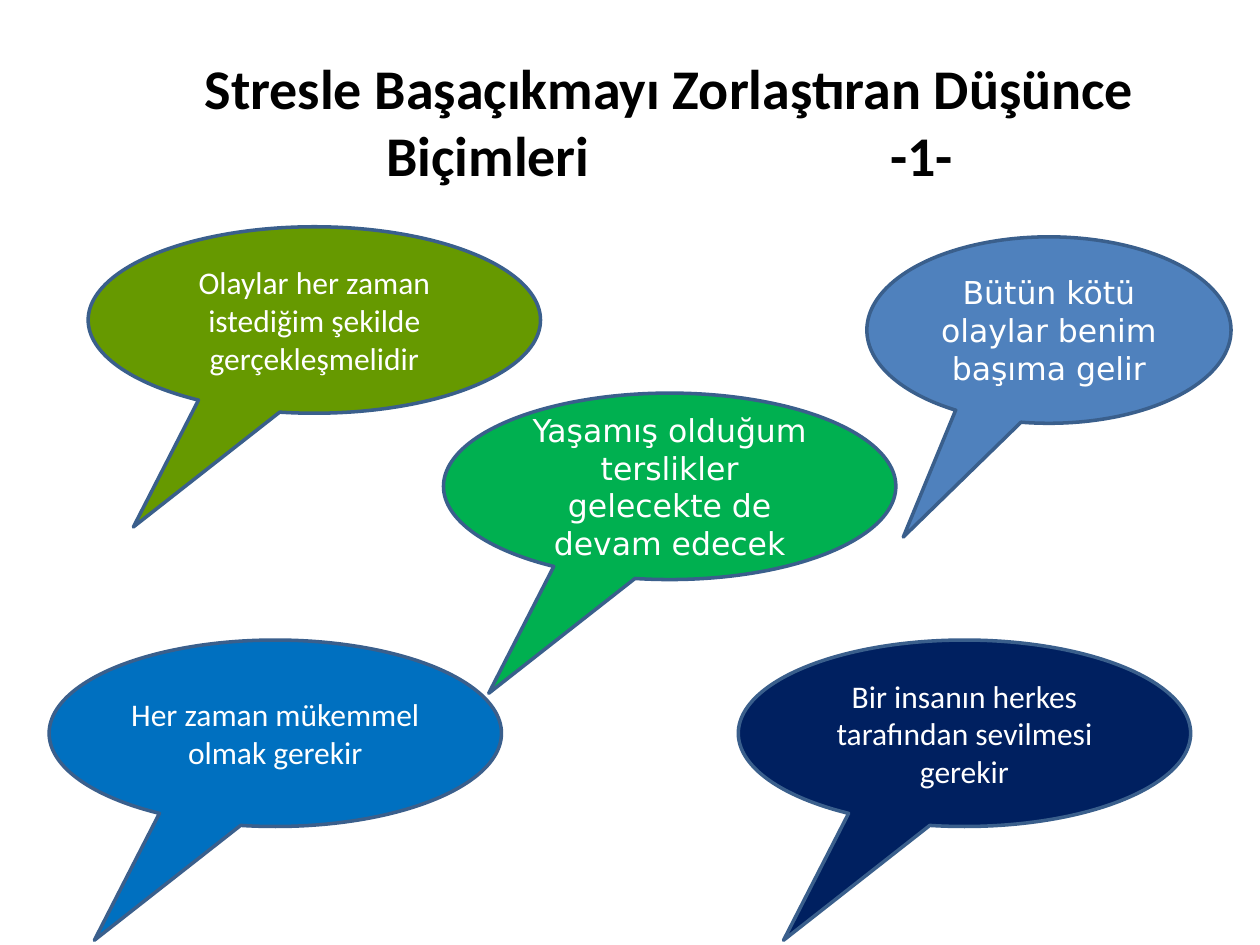
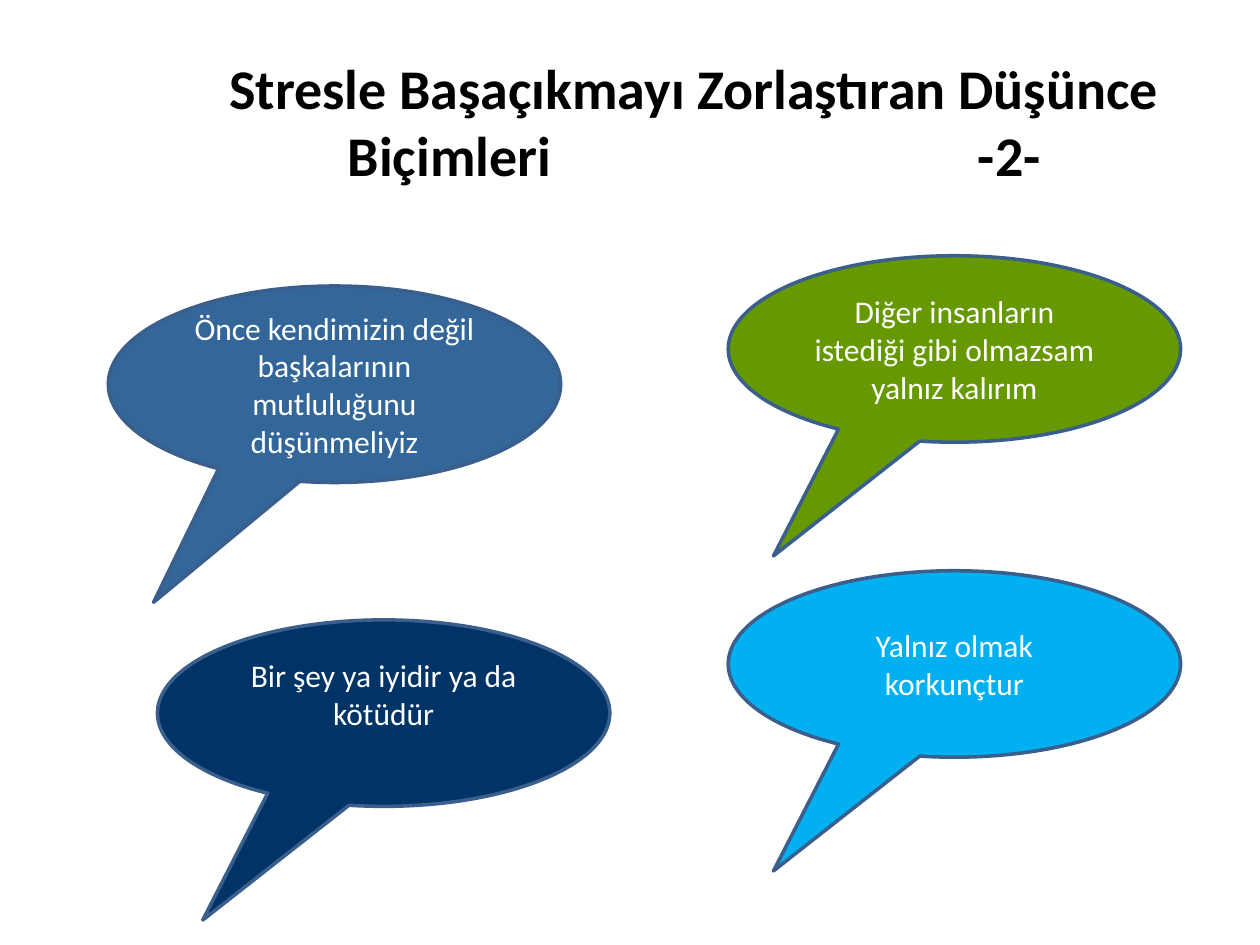
"""Build two slides of speech bubbles on thoughts that make coping with stress harder."""
from lxml import etree
from pptx import Presentation
from pptx.dml.color import RGBColor
from pptx.enum.shapes import MSO_SHAPE
from pptx.enum.text import MSO_ANCHOR, MSO_AUTO_SIZE, PP_ALIGN
from pptx.oxml.ns import qn
from pptx.util import Inches, Pt

CALLOUT = MSO_SHAPE.OVAL_CALLOUT
MIDDLE = MSO_ANCHOR.MIDDLE
CENTER = PP_ALIGN.CENTER
NO_AUTOFIT = MSO_AUTO_SIZE.NONE
TITLE_ONLY = 5

COLORS = {
    "title": "000000",
    "bubble_text": "FFFFFF",
    "outline": "3A5F8C",
    "blue": "0070C0",
    "navy": "002060",
    "soft_blue": "4F81BD",
    "olive": "669900",
    "green": "00B050",
    "deep_navy": "003366",
    "steel": "336699",
    "sky": "00B0F0",
}
FONT = "Calibri"
ALTERNATE_FONT = "DejaVu Sans"
TITLE = "Stresle Başaçıkmayı Zorlaştıran Düşünce Biçimleri"
BUBBLE_WIDTH, BUBBLE_HEIGHT = 3.59, 1.48
TAIL_TIP = (-0.4, 1.11)
BLANK_LINE = 0.3

SLIDES = [
    {
        "number": "-1-", "title_left": 0.86, "title_width": 8.91, "number_tab": 4,
        "bubbles": [
            {"text": "Her zaman mükemmel olmak gerekir",
             "left": 0.39, "top": 5.08, "fill": "blue"},
            {"text": "Bir insanın herkes tarafından sevilmesi gerekir",
             "left": 5.86, "top": 5.08, "fill": "navy"},
            {"text": "Bütün kötü olaylar benim başıma gelir",
             "left": 6.88, "top": 1.88, "fill": "soft_blue", "width": 2.89, "font": ALTERNATE_FONT},
            {"text": "Olaylar her zaman istediğim şekilde gerçekleşmelidir",
             "left": 0.7, "top": 1.8, "fill": "olive"},
            {"text": "Yaşamış olduğum terslikler gelecekte de devam edecek",
             "left": 3.52, "top": 3.12, "fill": "green", "font": ALTERNATE_FONT},
        ],
    },
    {
        "number": "-2-", "title_left": 1.02, "title_width": 8.98, "number_tab": 5,
        "bubbles": [
            {"text": "Bir şey ya iyidir ya da kötüdür",
             "left": 1.25, "top": 4.92, "fill": "deep_navy", "space_below": BLANK_LINE},
            {"text": "Diğer insanların istediği gibi olmazsam yalnız kalırım",
             "left": 5.78, "top": 2.03, "fill": "olive"},
            {"text": "Önce kendimizin değil başkalarının mutluluğunu düşünmeliyiz",
             "left": 0.86, "top": 2.27, "fill": "steel", "height": 1.56},
            {"text": "Yalnız olmak korkunçtur",
             "left": 5.78, "top": 4.53, "fill": "sky"},
        ],
    },
]


def write_text(shape, text, font_name, size, color, bold=False):
    text_frame = shape.text_frame
    text_frame.text = text
    text_frame.word_wrap = True
    text_frame.auto_size = NO_AUTOFIT
    text_frame.vertical_anchor = MIDDLE
    paragraph = text_frame.paragraphs[0]
    paragraph.alignment = CENTER
    for run in paragraph.runs:
        run.font.name = font_name
        run.font.size = Pt(size)
        run.font.bold = bold
        run.font.color.rgb = RGBColor.from_string(COLORS[color])
    return paragraph


def add_bubble(slide, bubble):
    shape = slide.shapes.add_shape(
        CALLOUT, Inches(bubble["left"]), Inches(bubble["top"]),
        Inches(bubble.get("width", BUBBLE_WIDTH)), Inches(bubble.get("height", BUBBLE_HEIGHT)))
    shape.adjustments[0], shape.adjustments[1] = TAIL_TIP
    shape.shadow.inherit = False
    shape.fill.solid()
    shape.fill.fore_color.rgb = RGBColor.from_string(COLORS[bubble["fill"]])
    shape.line.color.rgb = RGBColor.from_string(COLORS["outline"])
    shape.line.width = Pt(2)
    write_text(shape, bubble["text"], bubble.get("font", FONT), 18, "bubble_text")
    shape.text_frame.margin_bottom = Inches(0.05 + bubble.get("space_below", 0))


presentation = Presentation()
presentation.slide_width = Inches(10)
presentation.slide_height = Inches(7.5)

for content in SLIDES:
    slide = presentation.slides.add_slide(presentation.slide_layouts[TITLE_ONLY])
    title = slide.shapes.title
    title.left, title.top = Inches(content["title_left"]), Inches(0.33)
    title.width, title.height = Inches(content["title_width"]), Inches(1.25)
    paragraph = write_text(title, f"{TITLE}\t{content['number']}", FONT, 32, "title", bold=True)
    tab_list = etree.SubElement(paragraph._p.get_or_add_pPr(), qn("a:tabLst"))
    etree.SubElement(tab_list, qn("a:tab"), pos=str(Inches(content["number_tab"])), algn="l")
    for bubble in content["bubbles"]:
        add_bubble(slide, bubble)

presentation.save("out.pptx")
